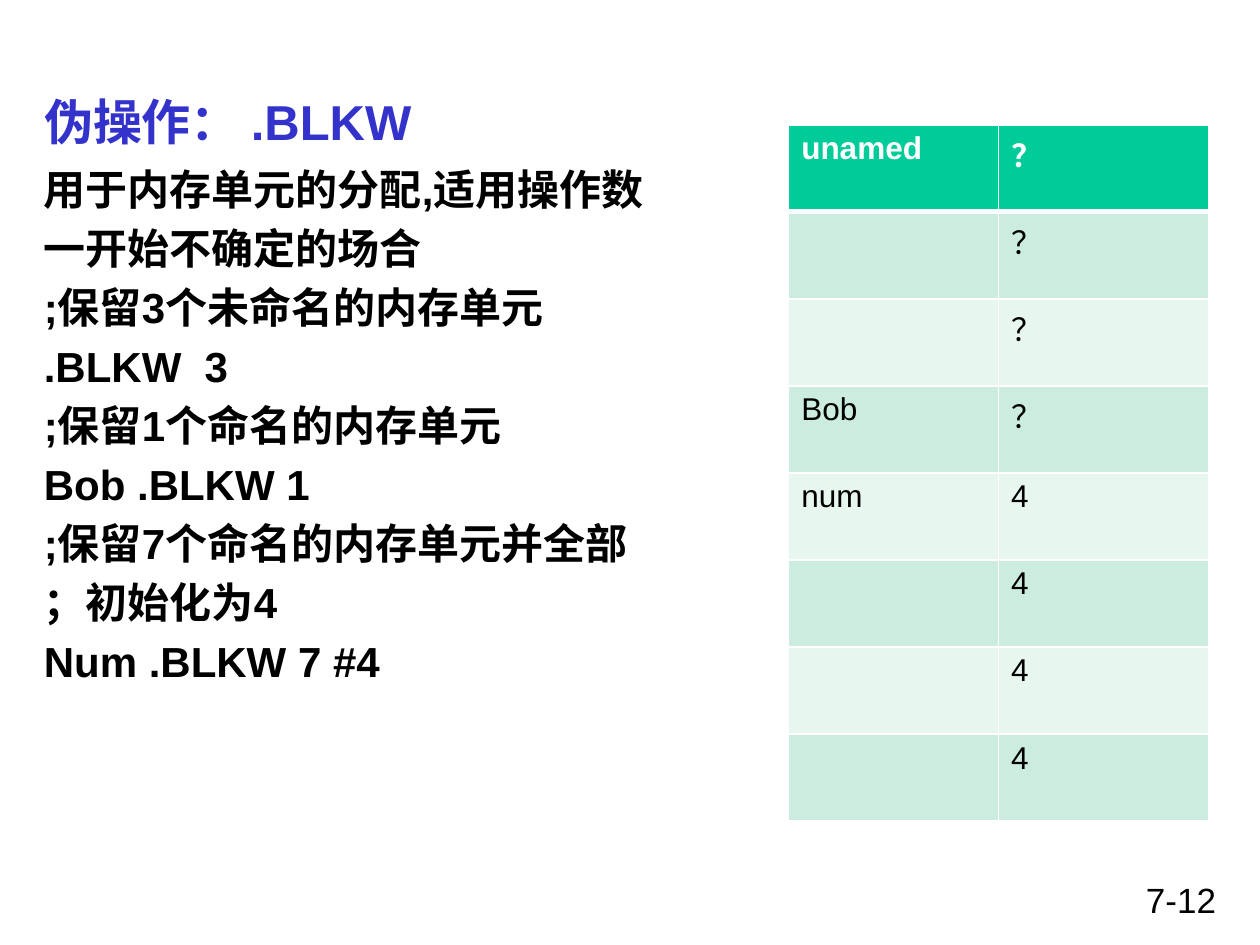
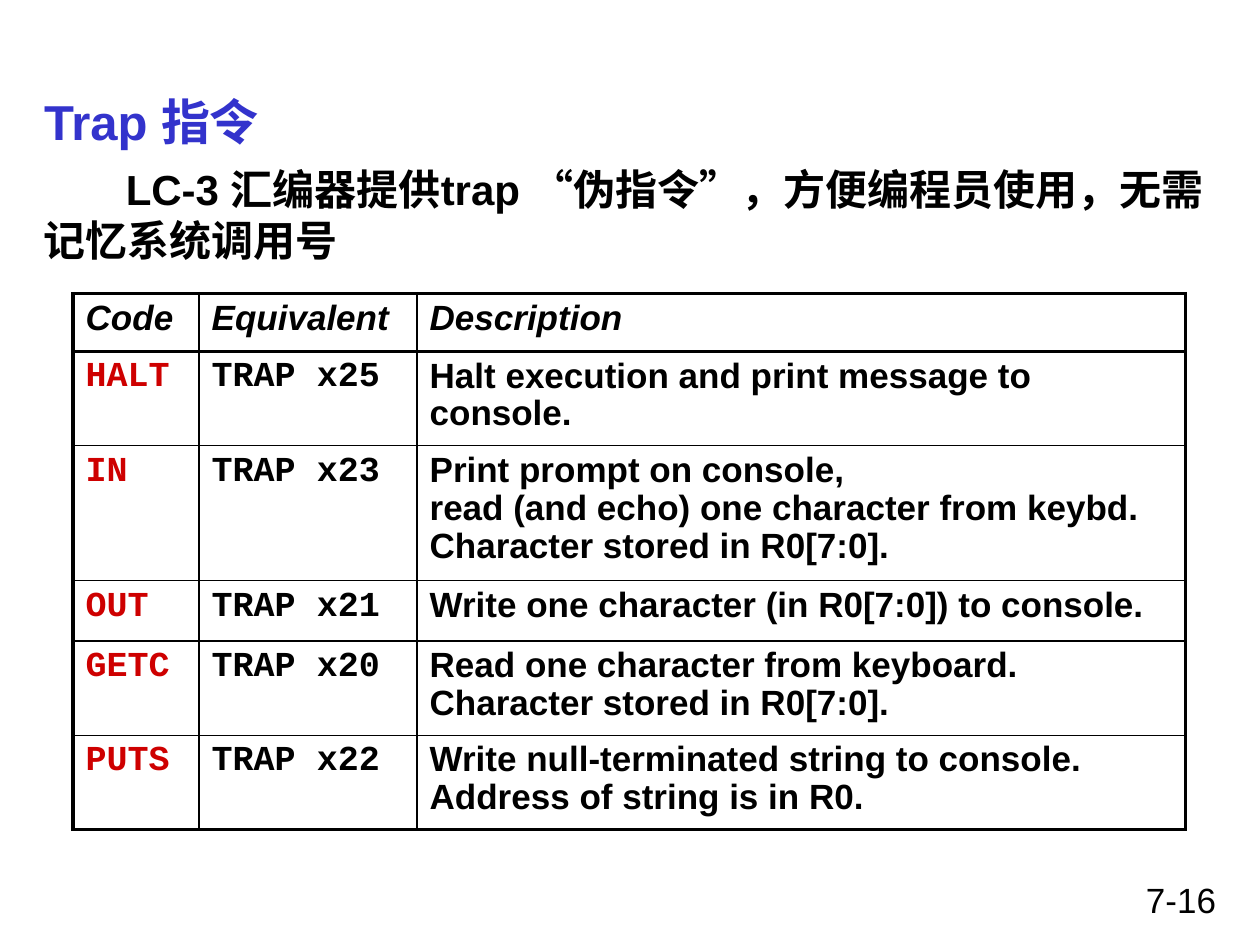
from lxml.etree import SubElement
from pptx import Presentation
from pptx.dml.color import RGBColor
from pptx.enum.text import MSO_ANCHOR, MSO_AUTO_SIZE, PP_ALIGN
from pptx.oxml.ns import qn
from pptx.util import Inches, Pt

BLUE, BLACK, WHITE, RED = "3333CC", "000000", "FFFFFF", "CE0000"
GREEN, MINT, PALE = "00CC99", "CBECDE", "E7F6EF"


def add_run(p, text, size, color, bold=True, italic=False, font="Arial"):
    for i, line in enumerate(text.split("\n")):
        if i:
            p.add_line_break()
        r = p.add_run()
        r.text = line
        r.font.name = font
        r.font.size = Pt(size)
        r.font.bold = bold
        r.font.italic = italic
        r.font.color.rgb = RGBColor.from_string(color)


def set_borders(cell, color, left, right, top, bottom):
    tcPr = cell._tc.get_or_add_tcPr()
    for side, width in zip("LRTB", (left, right, top, bottom)):
        ln = SubElement(tcPr, qn(f"a:ln{side}"), w=str(Pt(width)))
        fill = SubElement(ln, qn("a:solidFill"))
        SubElement(fill, qn("a:srgbClr"), val=color)


prs = Presentation()
prs.slide_width, prs.slide_height = Inches(10), Inches(7.5)

pages = [
    ("伪操作： .BLKW", "7-12", 0, [
        "用于内存单元的分配,适用操作数",
        "一开始不确定的场合",
        ";保留3个未命名的内存单元",
        ".BLKW  3",
        ";保留1个命名的内存单元",
        "Bob .BLKW 1",
        ";保留7个命名的内存单元并全部",
        "；初始化为4",
        "Num .BLKW 7 #4",
    ]),
    ("Trap 指令", "7-16", 0.65, [
        "LC-3 汇编器提供trap “伪指令”，方便编程员使用，无需记忆系统调用号",
    ]),
]

for title, number, indent, lines in pages:
    s = prs.slides.add_slide(prs.slide_layouts[5])
    sp = s.shapes.title
    sp.left, sp.top = Inches(0.25), Inches(0.67)
    sp.width, sp.height = Inches(9.5), Inches(0.58)
    tf = sp.text_frame
    tf.auto_size = MSO_AUTO_SIZE.NONE
    tf.vertical_anchor = MSO_ANCHOR.MIDDLE
    p = tf.paragraphs[0]
    p.alignment = PP_ALIGN.LEFT
    add_run(p, title, 28, BLUE)

    sp = s.shapes.add_textbox(Inches(0.25), Inches(1.25), Inches(9.5), Inches(5.42))
    tf = sp.text_frame
    tf.word_wrap = True
    for i, line in enumerate(lines):
        p = tf.paragraphs[0]
        if i:
            p = tf.add_paragraph()
            p.space_before = Pt(4.8)
        p.line_spacing = Pt(28.9)
        if indent:
            p._p.get_or_add_pPr().set("indent", str(Inches(indent)))
        add_run(p, line, 24, BLACK)

    sp = s.shapes.add_textbox(Inches(7.17), Inches(6.92), Inches(2.58), Inches(0.42))
    tf = sp.text_frame
    tf.word_wrap = True
    p = tf.paragraphs[0]
    p.alignment = PP_ALIGN.RIGHT
    add_run(p, number, 20, BLACK, bold=False)

memory = [
    ("unamed", "？"), ("", "？"), ("", "？"), ("Bob", "？"),
    ("num", "4"), ("", "4"), ("", "4"), ("", "4"),
]
table = prs.slides[0].shapes.add_table(
    len(memory), 2, Inches(6.26), Inches(0.99), Inches(3.33), Inches(5.53)).table
for i, row in enumerate(memory):
    header = i == 0
    for j, text in enumerate(row):
        cell = table.cell(i, j)
        set_borders(cell, WHITE, 1, 1, 3 if i == 1 else 1, 3 if header else 1)
        cell.fill.solid()
        fill = GREEN if header else (PALE, MINT)[i % 2]
        cell.fill.fore_color.rgb = RGBColor.from_string(fill)
        if text:
            add_run(cell.text_frame.paragraphs[0], text, 18,
                    WHITE if header else BLACK, bold=header)

traps = [
    ("Code", "Equivalent", "Description"),
    ("HALT", "TRAP x25", "Halt execution and print message to console."),
    ("IN", "TRAP x23", "Print prompt on console,\n"
     "read (and echo) one character from keybd.\nCharacter stored in R0[7:0]."),
    ("OUT", "TRAP x21", "Write one character (in R0[7:0]) to console."),
    ("GETC", "TRAP x20", "Read one character from keyboard.\nCharacter stored in R0[7:0]."),
    ("PUTS", "TRAP x22", "Write null-terminated string to console.\nAddress of string is in R0."),
]
widths = [1, 1.73, 6.1]
heights = [0.46, 0.72, 1.03, 0.48, 0.72, 0.72]
table = prs.slides[1].shapes.add_table(
    len(traps), 3, Inches(0.58), Inches(2.33), Inches(sum(widths)), Inches(sum(heights))).table
for col, width in zip(table.columns, widths):
    col.width = Inches(width)
for row, height in zip(table.rows, heights):
    row.height = Inches(height)
fonts = ["Courier New", "Courier New", "Arial"]
colors = [RED, BLACK, BLACK]
last = len(traps) - 1
for i, row in enumerate(traps):
    header = i == 0
    for j, text in enumerate(row):
        cell = table.cell(i, j)
        set_borders(cell, BLACK,
                    2.25 if j == 0 else 1, 2.25 if j == 2 else 1,
                    2.25 if i in (0, 1) else 1, 2.25 if i in (0, last) else 1)
        cell.fill.background()
        p = cell.text_frame.paragraphs[0]
        p.line_spacing = 0.97
        add_run(p, text, 20, BLACK if header else colors[j], italic=header,
                font="Arial" if header else fonts[j])

prs.save("out.pptx")
